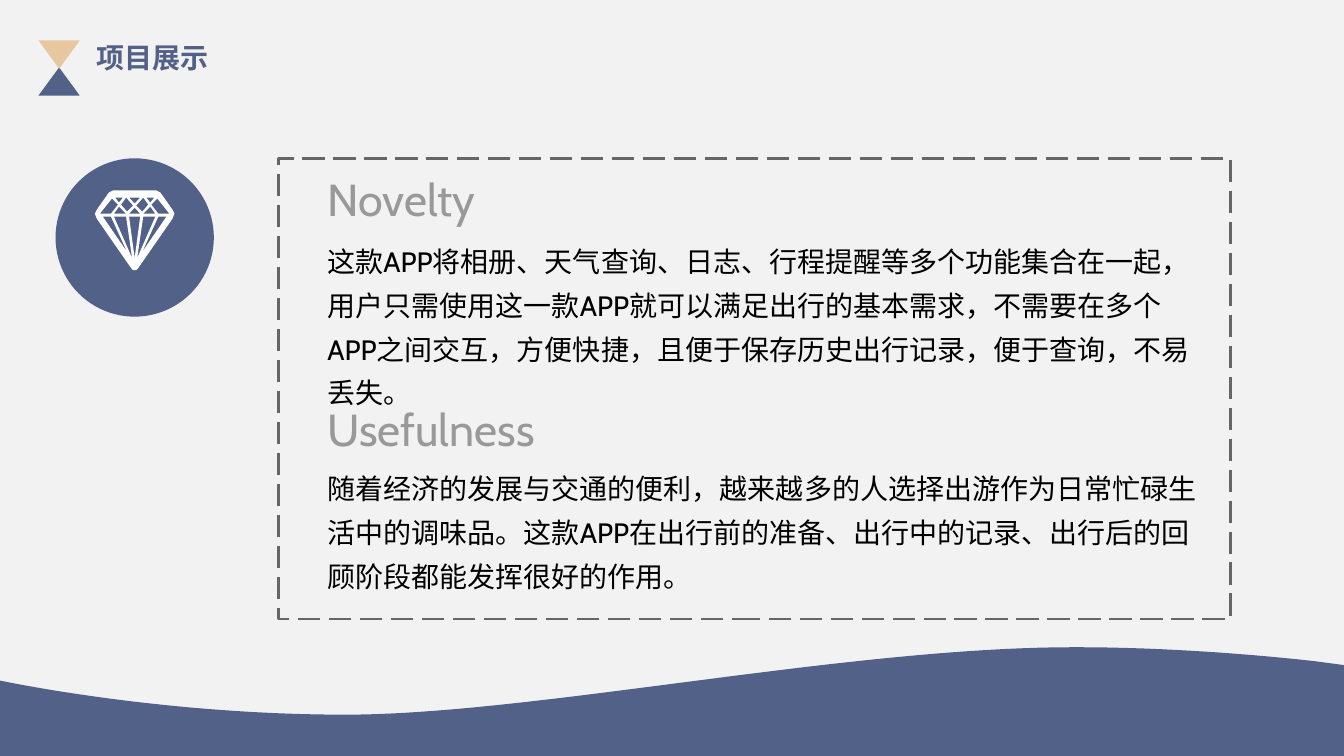
"""Build the project showcase slide about novelty and usefulness."""
from dataclasses import dataclass

import pptx
import pptx.dml.color
import pptx.enum.dml
import pptx.enum.shapes
import pptx.enum.text
import pptx.util

Cm = pptx.util.Cm
Pt = pptx.util.Pt
MSO = pptx.enum.shapes.MSO_SHAPE
Point = tuple[float, float]

BLUE, SAND, GREY, DASH = "526188", "E7C7A0", "999999", "666666"


@dataclass
class Preset:
    kind: MSO
    left: float
    top: float
    width: float
    height: float
    fill: str = ""
    line: str = ""
    rotation: float = 0


@dataclass
class Block:
    text: str
    top: float
    width: float
    height: float
    size: int
    color: str
    spacing: float = 1.0


PRESETS = [
    Preset(MSO.ISOSCELES_TRIANGLE, 0.97, 1.7, 1.04, 0.71, BLUE),
    Preset(MSO.ISOSCELES_TRIANGLE, 0.97, 1.02, 1.04, 0.71, SAND, rotation=180),
    Preset(MSO.RECTANGLE, 7.01, 3.99, 24, 11.61, line=DASH),
    Preset(MSO.OVAL, 1.4, 3.99, 3.99, 3.99, BLUE),
]

BLOCKS = [
    Block("Novelty", 4.19, 6.32, 1.5, 32, GREY),
    Block("这款APP将相册、天气查询、日志、行程提醒等多个功能集合在一起，"
          "用户只需使用这一款APP就可以满足出行的基本需求，不需要在多个APP之间交互，"
          "方便快捷，且便于保存历史出行记录，便于查询，不易丢失。",
          5.79, 22.5, 4.6, 20, "000000", 1.3),
    Block("Usefulness", 10.01, 8.2, 1.5, 32, GREY),
    Block("随着经济的发展与交通的便利，越来越多的人选择出游作为日常忙碌生活中的调味品。"
          "这款APP在出行前的准备、出行中的记录、出行后的回顾阶段都能发挥很好的作用。",
          11.51, 22.5, 3.58, 20, "000000", 1.3),
]

WAVE_CURVES = [
    [(33.12, 16.66), (31.29, 16.46), (29.18, 16.31), (27.05, 16.31)],
    [(27.05, 16.31), (21.34, 16.31), (13.41, 18.01), (8.71, 18.01)],
    [(8.71, 18.01), (3.99, 18.01), (0, 17.15), (0, 17.15)],
]

GEM_LEFT, GEM_TOP, GEM_WIDTH, GEM_UNIT = 2.39, 4.8, 79, 2.54 / 100
GEM_HALF = [(39.5, 0), (18, 0), (16, 1), (14, 2), (2, 19), (0, 23),
            (2, 28), (36, 77), (38, 79), (39.5, 79)]
SIDE_FACETS = [
    [(17, 8), (23, 14), (16, 23), (5, 23)],
    [(32, 61), (8, 26), (16, 26)],
    [(31, 26), (37, 67), (19, 26)],
    [(24, 16), (31, 23), (19, 23)],
    [(24, 12), (20, 7), (28, 7)],
    [(32, 21), (26, 14), (31, 7), (38, 15)],
]
MIDDLE_FACETS = [
    [(39.5, 13), (34, 7), (45, 7)],
    [(45, 26), (39.5, 67), (34, 26)],
    [(45, 23), (34, 23), (39.5, 17)],
]


def rgb(value: str) -> pptx.dml.color.RGBColor:
    return pptx.dml.color.RGBColor.from_string(value)


def paint(sp, fill: str, line: str = "") -> None:
    sp.shadow.inherit = False
    if fill:
        sp.fill.solid()
        sp.fill.fore_color.rgb = rgb(fill)
    else:
        sp.fill.background()
    if line:
        sp.line.color.rgb = rgb(line)
        sp.line.width = Pt(2)
        sp.line.dash_style = pptx.enum.dml.MSO_LINE.LONG_DASH
    else:
        sp.line.fill.background()


def add_preset(slide, item: Preset) -> None:
    sp = slide.shapes.add_shape(item.kind, Cm(item.left), Cm(item.top),
                                Cm(item.width), Cm(item.height))
    sp.rotation = item.rotation
    paint(sp, item.fill, item.line)


def add_outline(slide, contours: list[list[Point]], fill: str) -> None:
    contours = [[(Cm(x), Cm(y)) for x, y in contour] for contour in contours]
    builder = slide.shapes.build_freeform(*contours[0][0], scale=1.0)
    for i, (start, *rest) in enumerate(contours):
        if i:
            builder.move_to(*start)
        builder.add_line_segments(rest, close=True)
    paint(builder.convert_to_shape(), fill)


def bezier(curve: list[Point], steps: int = 40) -> list[Point]:
    points = []
    for i in range(steps + 1):
        t = i / steps
        weights = ((1 - t) ** 3, 3 * t * (1 - t) ** 2, 3 * t * t * (1 - t), t ** 3)
        points.append(tuple(sum(w * p[axis] for w, p in zip(weights, curve))
                            for axis in (0, 1)))
    return points


def mirror(contour: list[Point]) -> list[Point]:
    return [(GEM_WIDTH - x, y) for x, y in reversed(contour)]


def add_wave(slide) -> None:
    crest = [point for curve in WAVE_CURVES for point in bezier(curve)]
    add_outline(slide, [crest + [(0, 19.13), (33.87, 19.13), (33.87, 16.76)]], BLUE)


def add_gem(slide) -> None:
    contours = [GEM_HALF + mirror(GEM_HALF), *SIDE_FACETS,
                *map(mirror, SIDE_FACETS), *MIDDLE_FACETS]
    placed = [[(GEM_LEFT + x * GEM_UNIT, GEM_TOP + y * GEM_UNIT) for x, y in contour]
              for contour in contours]
    add_outline(slide, placed, "FFFFFF")


def set_text(sp, text: str, font: str, size: int, color: str):
    tf = sp.text_frame
    tf.text = text
    tf.word_wrap = True
    tf.auto_size = pptx.enum.text.MSO_AUTO_SIZE.SHAPE_TO_FIT_TEXT
    tf.vertical_anchor = pptx.enum.text.MSO_ANCHOR.TOP
    p = tf.paragraphs[0]
    p.font.name = font
    p.font.size = Pt(size)
    p.font.color.rgb = rgb(color)
    return p


def add_title(slide) -> None:
    sp = slide.shapes.title
    sp.left, sp.top, sp.width, sp.height = Cm(2.18), Cm(0.89), Cm(4.55), Cm(1.12)
    p = set_text(sp, "项目展示", "Arial", 20, BLUE)
    p.font.bold = True
    p.alignment = pptx.enum.text.PP_ALIGN.JUSTIFY


def add_block(slide, block: Block) -> None:
    sp = slide.shapes.add_textbox(Cm(8), Cm(block.top), Cm(block.width), Cm(block.height))
    p = set_text(sp, block.text, "Cabin", block.size, block.color)
    p.line_spacing = block.spacing


def main() -> None:
    prs = pptx.Presentation()
    prs.slide_width, prs.slide_height = Cm(33.87), Cm(19.05)
    slide = prs.slides.add_slide(prs.slide_layouts[5])
    slide.background.fill.solid()
    slide.background.fill.fore_color.rgb = rgb("F2F2F2")
    add_wave(slide)
    add_title(slide)
    for item in PRESETS:
        add_preset(slide, item)
    add_gem(slide)
    for block in BLOCKS:
        add_block(slide, block)
    prs.save("out.pptx")


if __name__ == "__main__":
    main()
